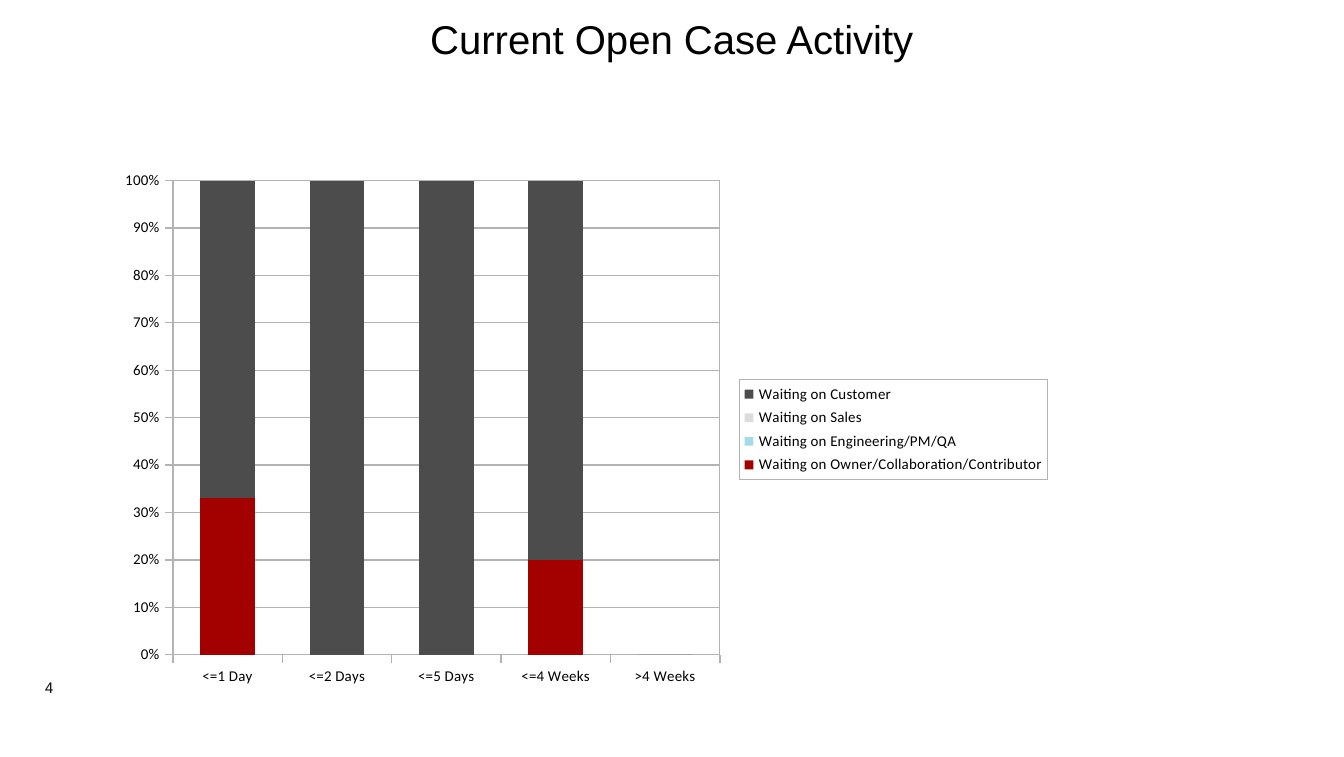
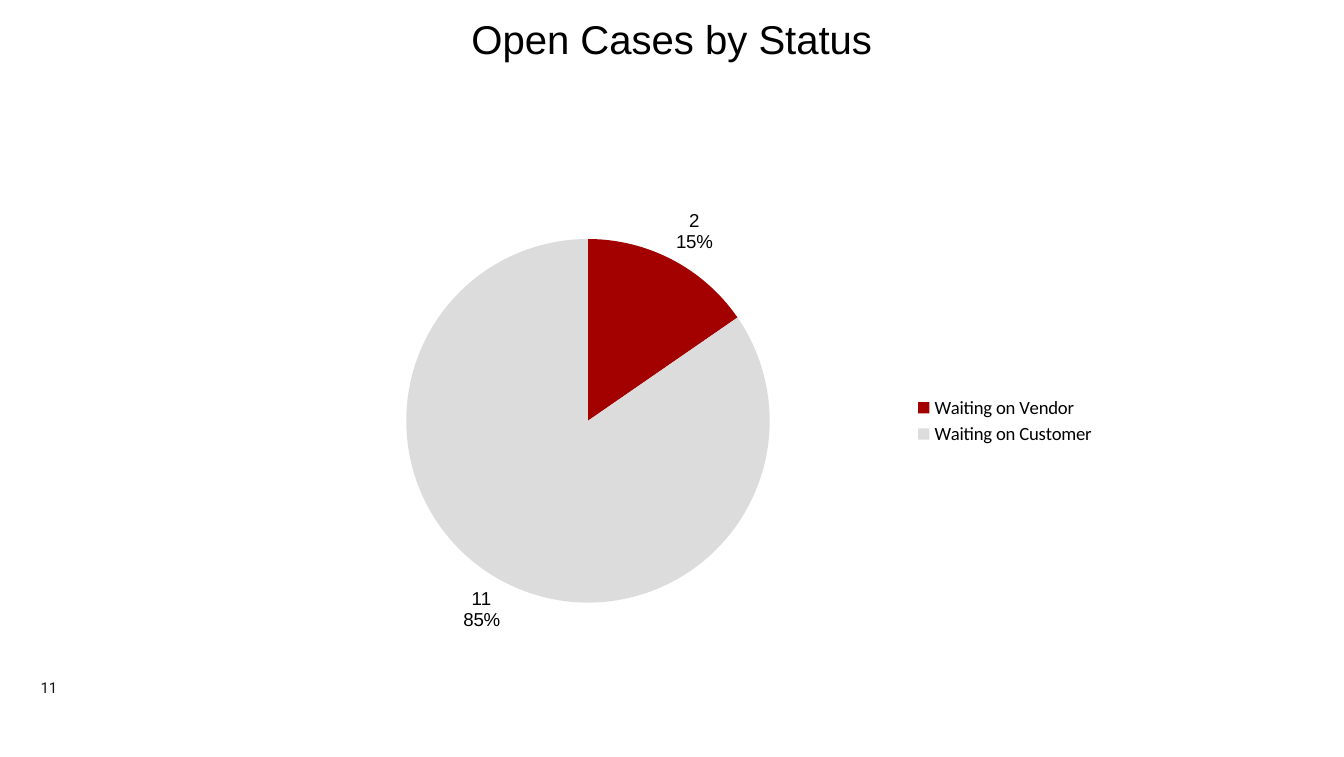
from dataclasses import dataclass

from lxml import etree
from pptx import Presentation
from pptx import util as u
from pptx.chart.data import CategoryChartData
from pptx.dml.color import RGBColor
from pptx.enum import chart as ch, text
from pptx.oxml import parse_xml
from pptx.oxml.ns import nsdecls, qn


@dataclass(frozen=True)
class Theme:
    black: str = "000000"
    ink: str = "141414"
    rule: str = "B3B3B3"
    red: str = "A30000"
    blue: str = "A3DBE8"
    silver: str = "DCDCDC"
    charcoal: str = "4C4C4C"
    heading: str = "Arial"
    label: str = "Calibri"
    number: str = "Roboto"
    title_size: float = 21.5
    body_size: float = 10
    small_size: float = 8


THEME = Theme()

# Places as percentages of the slide: left, top, width, height
TITLE_AREA = (7.5, 1.95, 85, 6.39)
PAGE_AREA = (0.3, 89.34, 6.7, 2.66)
ACTIVITY_AREA = (7.9, 21.31, 70.9, 70.87)
STATUS_AREA = (19.6, 24.16, 62.9, 62.88)

# Plot rectangles as percentages of their chart
ACTIVITY_PLOT = (7, 3.6, 57.4, 88.4)
STATUS_PLOT = (16.9, 11.8, 43, 76.4)


def apply(target, **values):
    for name, value in values.items():
        setattr(target, name, value)


def set_font(font, face, size, color):
    apply(font, name=face, size=u.Pt(size))
    font.color.rgb = RGBColor.from_string(color)


def fill(format_, color):
    format_.fill.solid()
    format_.fill.fore_color.rgb = RGBColor.from_string(color)


class Deck:
    """Holds the theme and the slide being built."""

    def __init__(self, theme):
        self.theme = theme
        self.prs = Presentation()
        apply(self.prs, slide_width=u.Inches(10), slide_height=u.Inches(5.63))
        self.slide = None

    def place(self, area):
        sizes = (self.prs.slide_width, self.prs.slide_height) * 2
        return [round(size * share / 100) for size, share in zip(sizes, area)]

    def text(self, area, words, face, size, color, **frame_values):
        frame = self.slide.shapes.add_textbox(*self.place(area)).text_frame
        margins = dict.fromkeys(
            ("margin_left", "margin_top", "margin_right", "margin_bottom"), 0)
        apply(frame, word_wrap=True, **margins, **frame_values)
        paragraph = frame.paragraphs[0]
        paragraph.alignment = text.PP_ALIGN.CENTER
        run = paragraph.add_run()
        run.text = words
        set_font(run.font, face, size, color)

    def new_slide(self, title, page):
        t = self.theme
        self.slide = self.prs.slides.add_slide(self.prs.slide_layouts[6])
        self.text(TITLE_AREA, title, t.heading, t.title_size, t.black,
                  auto_size=text.MSO_AUTO_SIZE.SHAPE_TO_FIT_TEXT)
        self.text(PAGE_AREA, page, t.number, t.small_size, t.ink,
                  vertical_anchor=text.MSO_ANCHOR.BOTTOM)

    def chart(self, kind, area, plot_area, categories, series, legend_size):
        t = self.theme
        data = CategoryChartData()
        data.categories = categories
        for name, values in series:
            data.add_series(name, values)
        chart = self.slide.shapes.add_chart(kind, *self.place(area), data).chart
        apply(chart, has_title=False, has_legend=True)
        set_font(chart.font, t.heading, t.body_size, t.black)
        apply(chart.legend, position=ch.XL_LEGEND_POSITION.RIGHT,
              include_in_layout=False)
        set_font(chart.legend.font, t.label, legend_size, t.black)
        self.fix_plot(chart, plot_area)
        return chart

    def fix_plot(self, chart, plot_area):
        """Sets the inner plot rectangle."""
        plot = chart._chartSpace.find(".//" + qn("c:plotArea"))
        for old in plot.findall(qn("c:layout")):
            plot.remove(old)
        layout = etree.Element(qn("c:layout"))
        manual = etree.SubElement(layout, qn("c:manualLayout"))
        settings = [("layoutTarget", "inner"), ("xMode", "edge"), ("yMode", "edge")]
        settings += [(tag, share / 100) for tag, share in zip("xywh", plot_area)]
        for tag, value in settings:
            etree.SubElement(manual, qn("c:" + tag)).set("val", str(value))
        plot.insert(0, layout)

    def outline(self):
        return parse_xml(
            f'<c:spPr {nsdecls("c", "a")}><a:noFill/><a:ln w="0"><a:solidFill>'
            f'<a:srgbClr val="{self.theme.rule}"/></a:solidFill></a:ln></c:spPr>')

    def hairline(self, line):
        line.width = u.Pt(0)
        line.color.rgb = RGBColor.from_string(self.theme.rule)

    def stacked_columns(self, area, plot_area, categories, series):
        t = self.theme
        chart = self.chart(
            ch.XL_CHART_TYPE.COLUMN_STACKED_100, area, plot_area, categories,
            [(name, values) for name, values, _ in series], t.small_size)
        columns = chart.plots[0]
        apply(columns, gap_width=100, overlap=100, vary_by_categories=False)
        for status, (_, _, color) in zip(columns.series, series):
            fill(status.format, color)

        # Axes and grid
        for axis in (chart.category_axis, chart.value_axis):
            apply(axis, major_tick_mark=ch.XL_TICK_MARK.OUTSIDE,
                  minor_tick_mark=ch.XL_TICK_MARK.NONE)
            set_font(axis.tick_labels.font, t.label, t.small_size, t.black)
            self.hairline(axis.format.line)
        chart.value_axis.has_major_gridlines = True
        self.hairline(chart.value_axis.major_gridlines.format.line)
        apply(chart.value_axis.tick_labels, number_format="0%",
              number_format_is_linked=False)

        # Frames around the plot and the legend
        root = chart._chartSpace
        root.find(".//" + qn("c:plotArea")).append(self.outline())
        root.find(".//" + qn("c:legend")).find(qn("c:overlay")).addnext(self.outline())

    def pie(self, area, plot_area, slices):
        t = self.theme
        names, counts, colors = zip(*slices)
        chart = self.chart(ch.XL_CHART_TYPE.PIE, area, plot_area, names,
                           [("Series 1", counts)], t.body_size)
        chart.plots[0].vary_by_categories = True
        cases = chart.plots[0].series[0]
        for index, color in enumerate(colors):
            fill(cases.points[index].format, color)

        # Count above share, outside each slice
        labels = cases.data_labels
        apply(labels, show_value=True, show_percentage=True,
              position=ch.XL_LABEL_POSITION.OUTSIDE_END)
        set_font(labels.font, t.heading, t.body_size, t.black)
        separator = etree.Element(qn("c:separator"))
        separator.text = "\n"
        labels._element.find(qn("c:showBubbleSize")).addnext(separator)


def main():
    deck = Deck(THEME)

    # Case activity by age
    deck.new_slide("Current Open Case Activity", "4")
    ages = ["<=1 Day", "<=2 Days", "<=5 Days", "<=4 Weeks", ">4 Weeks"]
    deck.stacked_columns(ACTIVITY_AREA, ACTIVITY_PLOT, ages, [
        ("Waiting on Owner/Collaboration/Contributor", (33, 0, 0, 20, 0), THEME.red),
        ("Waiting on Engineering/PM/QA", (0, 0, 0, 0, 0), THEME.blue),
        ("Waiting on Sales", (0, 0, 0, 0, 0), THEME.silver),
        ("Waiting on Customer", (67, 100, 100, 80, 0), THEME.charcoal),
    ])

    # Cases by status
    deck.new_slide("Open Cases by Status", "11")
    deck.pie(STATUS_AREA, STATUS_PLOT, [
        ("Waiting on Vendor", 2, THEME.red),
        ("Waiting on Customer", 11, THEME.silver),
    ])

    deck.prs.save("out.pptx")


if __name__ == "__main__":
    main()
